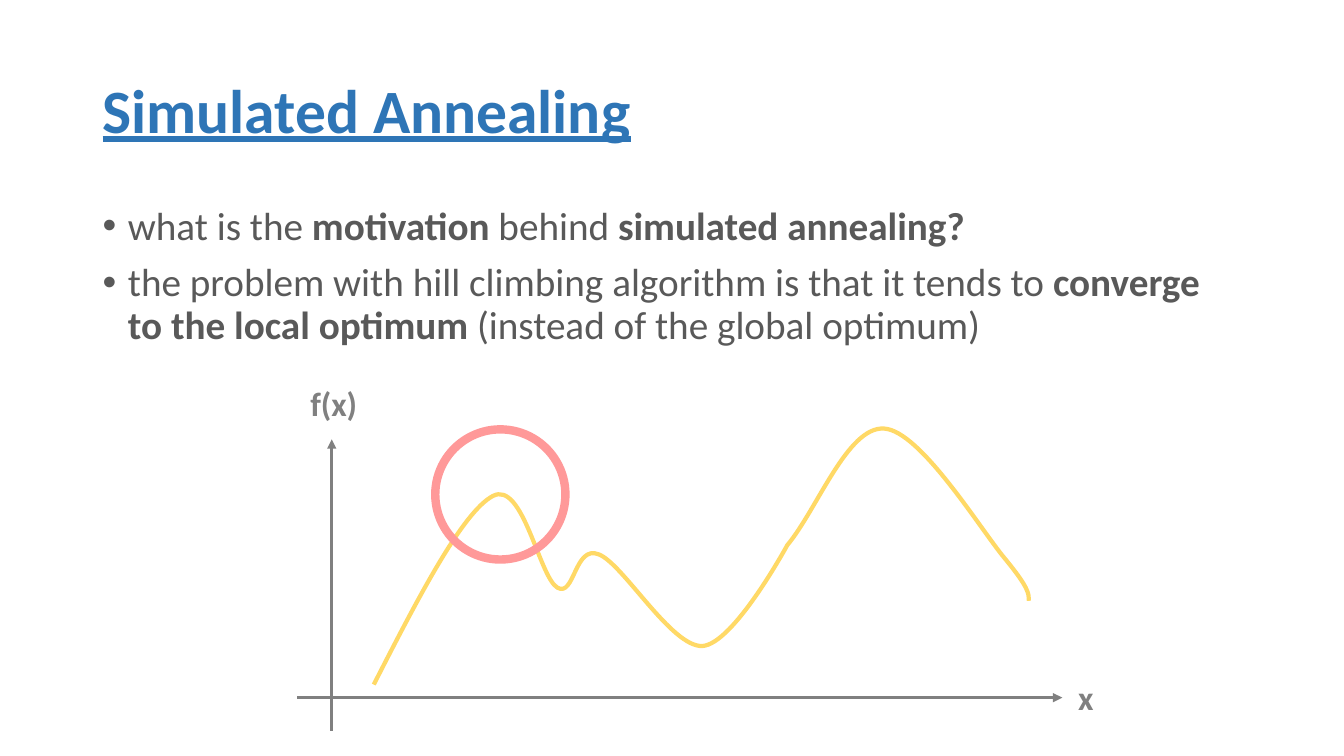
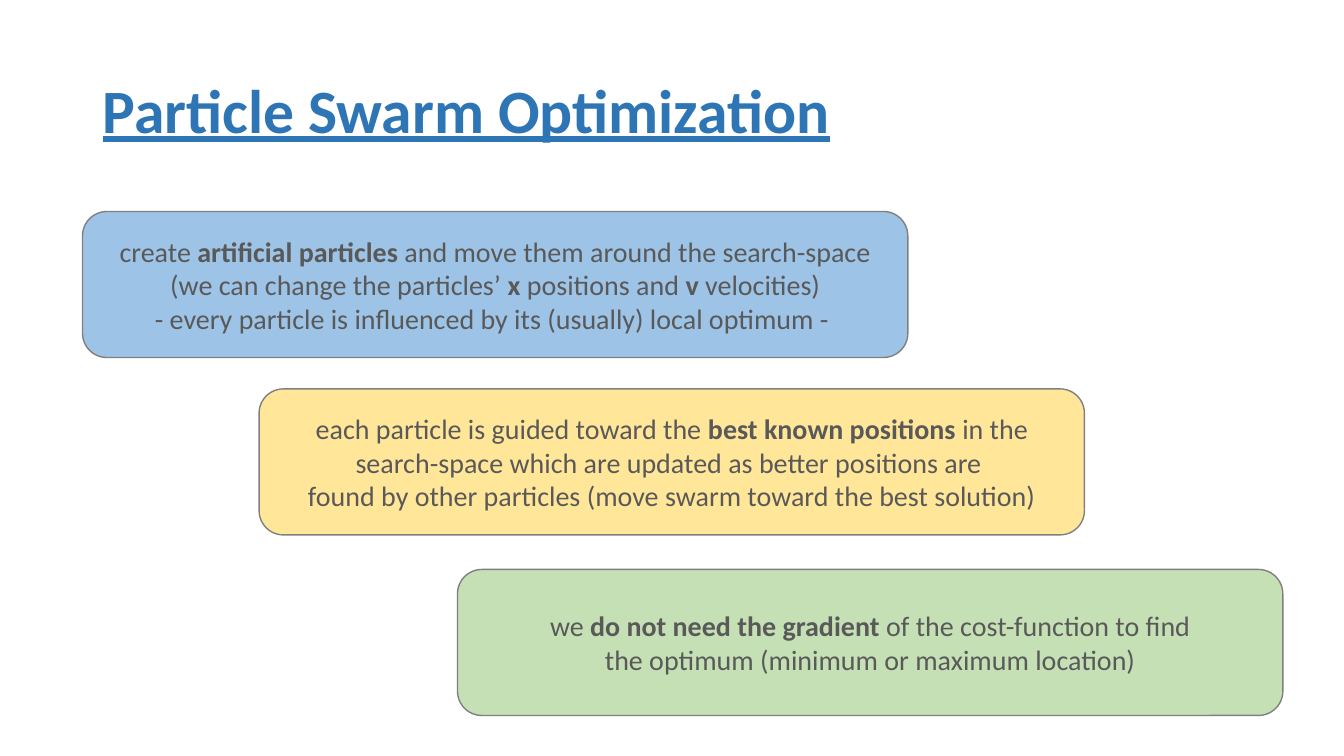
"""Build two slides on simulated annealing and particle swarm optimization."""
from dataclasses import dataclass

from lxml import etree
from pptx import Presentation
from pptx.dml.color import RGBColor
from pptx.enum import shapes, text
from pptx.oxml import ns
from pptx.util import Cm, Pt

BLUE = RGBColor(0x2E, 0x75, 0xB6)
DARK = RGBColor(0x59, 0x59, 0x59)
GRAY = RGBColor(0x80, 0x80, 0x80)
GOLD = RGBColor(0xFF, 0xD9, 0x66)
PINK = RGBColor(0xFF, 0x99, 0x99)
LIGHT_BLUE = RGBColor(0x9D, 0xC3, 0xE6)
LIGHT_GOLD = RGBColor(0xFF, 0xE6, 0x99)
LIGHT_GREEN = RGBColor(0xC5, 0xE0, 0xB4)

FONT = "Calibri"
TITLE_FONT = {"name": FONT, "size": Pt(44), "bold": True, "underline": True}
BODY_FONT = {"name": FONT, "size": Pt(28)}
LABEL_FONT = {"name": FONT, "size": Pt(24), "bold": True}
BOX_FONT = {"name": FONT, "size": Pt(20)}
TITLE_PARAGRAPH = {"alignment": text.PP_ALIGN.LEFT, "line_spacing": 0.9}
BODY_PARAGRAPH = {"line_spacing": 0.9, "space_before": Pt(10)}
BOX_PARAGRAPH = {"alignment": text.PP_ALIGN.CENTER}
TITLE_PLACE = (2.33, 1.01, 29.21, 3.68)
BODY_PLACE = (2.33, 5.08, 29.21, 13.56)
BOX_SIZE = (20.8, 3.68)
BULLET_INDENT = Cm(0.64)


@dataclass(frozen=True)
class Axis:
    """An arrow from start to end with a label, in centimetres."""

    start: tuple[float, float]
    end: tuple[float, float]
    label: str
    label_place: tuple[float, float, float, float]


@dataclass(frozen=True)
class Box:
    """A rounded box whose lines mark bold words with asterisks."""

    left: float
    top: float
    fill: RGBColor
    lines: tuple[str, ...]


AXES = (
    Axis((8.36, 18.42), (8.36, 11.07), "f(x)", (7.57, 9.53, 1.7, 1.27)),
    Axis((7.49, 17.58), (26.77, 17.58), "x", (26.92, 16.92, 0.91, 1.27)),
)
CURVE_START = (9.42, 17.25)
CURVE = (
    ((10.54, 15.06), (11.66, 12.9), (12.42, 12.5)),
    ((13.18, 12.09), (13.59, 14.55), (14.05, 14.81)),
    ((14.48, 15.06), (14.48, 13.72), (15.09, 13.97)),
    ((15.7, 14.2), (16.92, 16.31), (17.7, 16.28)),
    ((18.49, 16.23), (19.84, 13.74), (19.84, 13.74)),
    ((20.6, 12.83), (21.36, 10.74), (22.28, 10.8)),
    ((23.19, 10.85), (24.71, 13.34), (25.32, 14.07)),
    ((25.93, 14.81), (25.93, 14.96), (25.93, 15.14)),
)
CIRCLE_PLACE = (10.97, 10.82, 3.28, 3.28)
BULLETS = (
    "what is the *motivation *behind* simulated annealing?*",
    "the problem with hill climbing algorithm is that it tends to "
    "*converge to the local optimum *(instead of the global optimum)",
)
BOXES = (
    Box(2.08, 5.33, LIGHT_BLUE, (
        "create *artificial particles* and move them around the search-space",
        "(we can change the particles’ *x* positions and *v *velocities)",
        "- every particle is influenced by its (usually) local optimum - ",
    )),
    Box(6.53, 9.8, LIGHT_GOLD, (
        "each particle is guided toward the *best known positions *in the "
        "search-space which are updated as better positions are ",
        "found by other particles (move swarm toward the best solution)",
    )),
    Box(11.53, 14.35, LIGHT_GREEN, (
        "we *do not need the gradient *of the cost-function to find",
        "the optimum (minimum or maximum location)",
    )),
)


def apply(target, values: dict) -> None:
    """Set each named attribute of the target."""
    for name, value in values.items():
        setattr(target, name, value)


def cm(values) -> list:
    """Turn centimetre numbers into lengths."""
    return [Cm(v) for v in values]


def place(sp, box) -> None:
    """Move and size a shape."""
    apply(sp, dict(zip(("left", "top", "width", "height"), cm(box))))


def write(tf, lines, font: dict, color: RGBColor, paragraph: dict) -> None:
    """Write one paragraph a line, with bold between asterisks."""
    for i, line in enumerate(lines):
        p = tf.paragraphs[0] if i == 0 else tf.add_paragraph()
        apply(p, paragraph)
        for j, part in enumerate(line.split("*")):
            if part:
                r = p.add_run()
                r.text = part
                apply(r.font, font)
                r.font.color.rgb = color
                if "bold" not in font:
                    r.font.bold = j % 2 == 1


def stroke(sp, color: RGBColor, width: float) -> None:
    """Give a shape its line colour and width in points."""
    sp.line.color.rgb = color
    sp.line.width = Pt(width)


def add_slide(prs, layout: int, title: str):
    """Add a slide with the shared title style."""
    s = prs.slides.add_slide(prs.slide_layouts[layout])
    sp = s.shapes.title
    place(sp, TITLE_PLACE)
    sp.text_frame.auto_size = text.MSO_AUTO_SIZE.NONE
    write(sp.text_frame, [title], TITLE_FONT, BLUE, TITLE_PARAGRAPH)
    return s


def add_bullets(s, lines) -> None:
    """Fill the body placeholder with a bulleted list."""
    sp = s.placeholders[1]
    place(sp, BODY_PLACE)
    tf = sp.text_frame
    tf.auto_size = text.MSO_AUTO_SIZE.NONE
    write(tf, lines, BODY_FONT, DARK, BODY_PARAGRAPH)
    for p in tf.paragraphs:
        pr = p._p.get_or_add_pPr()
        pr.set("marL", str(BULLET_INDENT))
        pr.set("indent", str(-BULLET_INDENT))


def add_axis(s, axis: Axis) -> None:
    """Draw an axis arrow and its label."""
    sp = s.shapes.add_connector(
        shapes.MSO_CONNECTOR.STRAIGHT, *cm(axis.start), *cm(axis.end))
    stroke(sp, GRAY, 2.25)
    etree.SubElement(sp.line._get_or_add_ln(), ns.qn("a:tailEnd"), type="triangle")
    etree.SubElement(sp._element.spPr, ns.qn("a:effectLst"))
    tf = s.shapes.add_textbox(*cm(axis.label_place)).text_frame
    apply(tf, {"word_wrap": False, "auto_size": text.MSO_AUTO_SIZE.SHAPE_TO_FIT_TEXT})
    write(tf, [axis.label], LABEL_FONT, GRAY, {})


def add_curve(s) -> None:
    """Draw the objective function as one path of cubic segments."""
    builder = s.shapes.build_freeform(*cm(CURVE_START))
    builder.add_line_segments(
        [cm(point) for segment in CURVE for point in segment], close=False)
    sp = builder.convert_to_shape()
    sp.shadow.inherit = False
    sp.fill.background()
    stroke(sp, GOLD, 3)
    steps = sp._element.xpath(".//a:lnTo")
    for i in range(0, len(steps), 3):
        cubic = etree.Element(ns.qn("a:cubicBezTo"))
        steps[i].addprevious(cubic)
        for step in steps[i:i + 3]:
            cubic.append(step[0])
            step.getparent().remove(step)


def add_circle(s) -> None:
    """Ring the local optimum."""
    sp = s.shapes.add_shape(shapes.MSO_SHAPE.OVAL, *cm(CIRCLE_PLACE))
    sp.shadow.inherit = False
    sp.fill.background()
    stroke(sp, PINK, 6)


def add_box(s, box: Box) -> None:
    """Draw a rounded box with centred text."""
    sp = s.shapes.add_shape(
        shapes.MSO_SHAPE.ROUNDED_RECTANGLE, *cm((box.left, box.top, *BOX_SIZE)))
    sp.shadow.inherit = False
    sp.fill.solid()
    sp.fill.fore_color.rgb = box.fill
    stroke(sp, GRAY, 1)
    tf = sp.text_frame
    apply(tf, {"word_wrap": True, "vertical_anchor": text.MSO_ANCHOR.MIDDLE})
    write(tf, box.lines, BOX_FONT, DARK, BOX_PARAGRAPH)


def main() -> None:
    """Build and save the presentation."""
    prs = Presentation()
    apply(prs, {"slide_width": Cm(33.87), "slide_height": Cm(19.05)})
    s = add_slide(prs, 1, "Simulated Annealing")
    add_bullets(s, BULLETS)
    for axis in AXES:
        add_axis(s, axis)
    add_curve(s)
    add_circle(s)
    s = add_slide(prs, 5, "Particle Swarm Optimization")
    for box in BOXES:
        add_box(s, box)
    prs.save("out.pptx")


if __name__ == "__main__":
    main()
